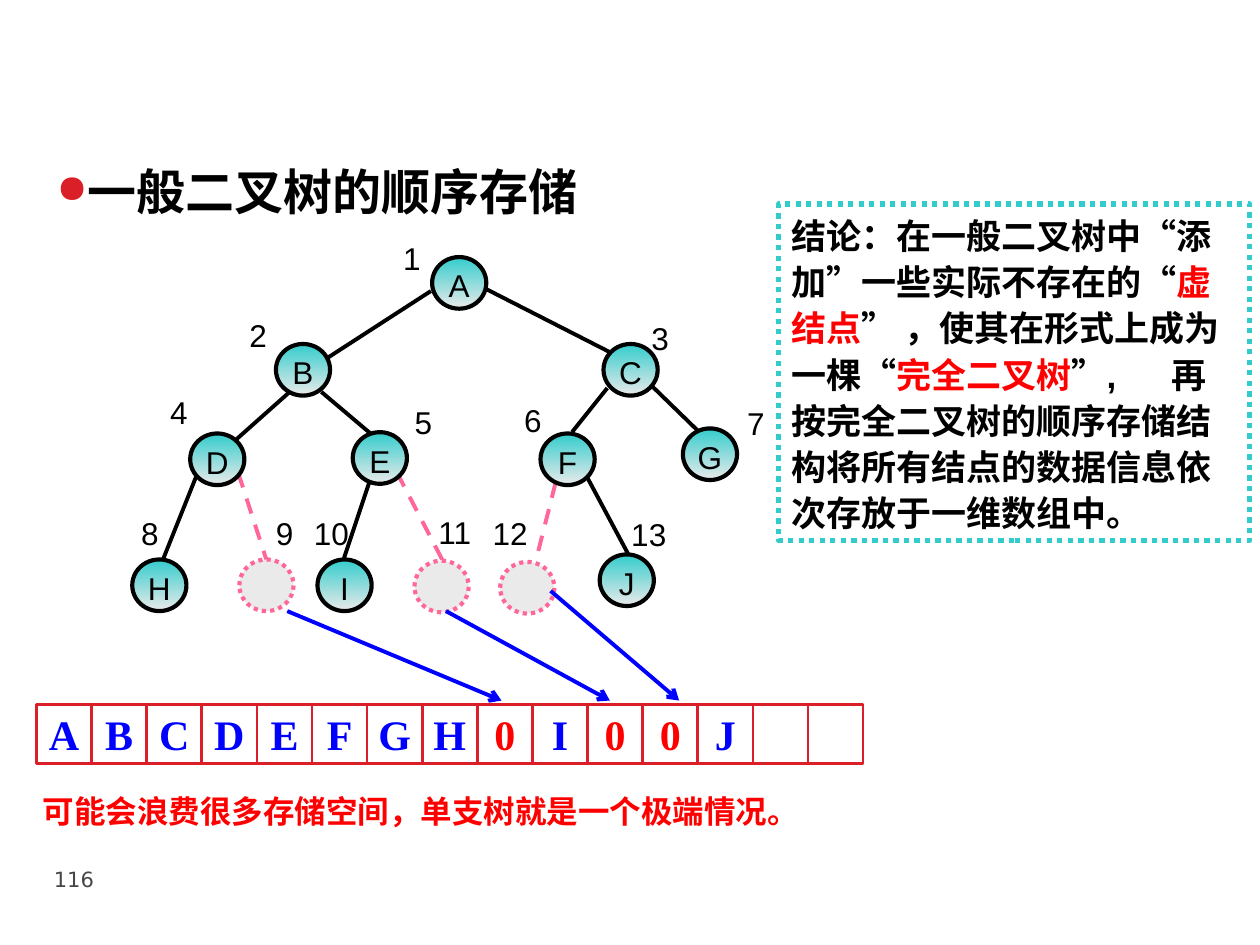
from lxml import etree
from pptx import Presentation
from pptx.dml.color import RGBColor
from pptx.enum import dml, shapes, text
from pptx.oxml import ns
from pptx.util import Inches, Pt

BLACK, RED, BLUE = "000000", "FF0000", "0000FF"
TEAL, PINK, GREY, CRIMSON = "33CCCC", "FF6699", "EAEAEA", "DA1F28"
DOTS = dml.MSO_LINE.ROUND_DOT
NODE_WIDTH, NODE_HEIGHT = 0.43, 0.41

NODES = {
    "A": (3.43, 2.04), "B": (2.19, 2.73), "C": (4.79, 2.73), "D": (1.51, 3.44),
    "E": (2.8, 3.43), "F": (4.29, 3.44), "G": (5.42, 3.4), "H": (1.05, 4.44),
    "I": (2.52, 4.44), "J": (4.76, 4.4),
}
VIRTUAL_NODES = [(1.9, 4.44), (3.29, 4.45), (3.97, 4.46)]
NUMBERS = [
    (3.2, 1.9), (1.98, 2.51), (5.17, 2.53), (1.35, 3.12), (3.29, 3.2),
    (4.16, 3.18), (5.93, 3.21), (1.12, 4.08), (2.19, 4.08), (2.49, 4.08),
    (3.48, 4.07), (3.91, 4.08), (5.01, 4.09),
]
EDGES = [
    (3.42, 2.31, 2.6, 2.84), (3.85, 2.29, 4.85, 2.8), (2.3, 3.11, 1.85, 3.51),
    (2.55, 3.11, 2.94, 3.44), (4.82, 3.08, 4.54, 3.43), (5.16, 3.05, 5.54, 3.42),
    (1.57, 3.75, 1.29, 4.45), (2.93, 3.83, 2.73, 4.43), (4.64, 3.75, 5.03, 4.48),
]
VIRTUAL_EDGES = [
    (1.89, 3.75, 2.12, 4.46), (3.15, 3.75, 3.53, 4.48), (4.41, 3.83, 4.25, 4.46),
]
ARROWS = [
    (2.28, 4.85, 3.98, 5.56), (3.54, 4.85, 4.84, 5.56), (4.37, 4.69, 5.39, 5.56),
]
ARRAY = "ABCDEFGH0I00J"
CELL_COUNT, ROW_LEFT, ROW_WIDTH = 15, 0.29, 6.56
CONCLUSION = [
    ("结论：在一般二叉树中“添加”一些实际不存在的“", BLACK),
    ("虚结点", RED),
    ("” ，使其在形式上成为一棵“", BLACK),
    ("完全二叉树", RED),
    ("”,\t再按完全二叉树的顺序存储结构将所有结点的数据信息依次存放于一维数组中。", BLACK),
]


def colour(value):
    return RGBColor.from_string(value)


def place(box, left, top, width, height):
    box.left, box.top = Inches(left), Inches(top)
    box.width, box.height = Inches(width), Inches(height)


def set_insets(frame, side, top):
    frame.margin_left = frame.margin_right = Inches(side)
    frame.margin_top = frame.margin_bottom = Inches(top)


def write(para, spans, size, font="Arial", bold=False):
    """Fill a paragraph with (wording, colour) spans that share one style."""
    for wording, shade in spans:
        span = para.add_run()
        span.text = wording
        span.font.size, span.font.name, span.font.bold = Pt(size), font, bold
        span.font.color.rgb = colour(shade)


def add_text(page, bounds, wording, size, shade, font="Arial", bold=False):
    box = page.shapes.add_textbox(*map(Inches, bounds))
    box.text_frame.word_wrap = True
    write(box.text_frame.paragraphs[0], [(wording, shade)], size, font, bold)
    return box


def add_outline(page, kind, bounds, shade, width, dash=None):
    """Add a preset shape without fill, its text frame ready for centred text."""
    shape = page.shapes.add_shape(kind, *map(Inches, bounds))
    shape.shadow.inherit = False
    shape.fill.background()
    shape.line.color.rgb = colour(shade)
    shape.line.width = Pt(width)
    if dash:
        shape.line.dash_style = dash
    set_insets(shape.text_frame, 0, 0)
    shape.text_frame.word_wrap = False
    return shape


def add_ellipse(page, corner, shade, dash=None):
    bounds = (*corner, NODE_WIDTH, NODE_HEIGHT)
    return add_outline(page, shapes.MSO_SHAPE.OVAL, bounds, shade, 2.38, dash)


def add_node(page, letter, corner):
    node = add_ellipse(page, corner, BLACK)
    node.fill.gradient()
    node.fill.gradient_angle = 270
    for stop, shade in zip(node.fill.gradient_stops, (TEAL, GREY)):
        stop.color.rgb = colour(shade)
    node.text_frame.margin_top = Inches(0.04)
    write(node.text_frame.paragraphs[0], [(letter, BLACK)], 18)


def add_virtual_node(page, corner):
    node = add_ellipse(page, corner, PINK, DOTS)
    node.fill.solid()
    node.fill.fore_color.rgb = colour(GREY)


def add_line(page, ends, shade, dash=None, arrow=False):
    line = page.shapes.add_connector(shapes.MSO_CONNECTOR.STRAIGHT, *map(Inches, ends))
    line.line.color.rgb = colour(shade)
    line.line.width = Pt(2.25)
    if dash:
        line.line.dash_style = dash
    if arrow:
        etree.SubElement(line.line._get_or_add_ln(), ns.qn("a:tailEnd"), type="arrow")
    etree.SubElement(line._element.spPr, ns.qn("a:effectLst"))


def add_heading(page):
    title = page.shapes.title
    place(title, 0.35, 1.23, 6.54, 0.57)
    frame = title.text_frame
    frame.auto_size = text.MSO_AUTO_SIZE.NONE
    frame.vertical_anchor = text.MSO_ANCHOR.TOP
    para = frame.paragraphs[0]
    para.alignment = text.PP_ALIGN.LEFT
    properties = para._p.get_or_add_pPr()
    properties.set("marL", str(Inches(0.24)))
    properties.set("indent", str(-Inches(0.24)))
    bullet_colour = etree.SubElement(properties, ns.qn("a:buClr"))
    etree.SubElement(bullet_colour, ns.qn("a:srgbClr"), val=CRIMSON)
    etree.SubElement(properties, ns.qn("a:buSzPct"), val="80000")
    etree.SubElement(properties, ns.qn("a:buChar"), char="●")
    write(para, [("一般二叉树的顺序存储", BLACK)], 28, "Times New Roman", True)


def add_tree(page):
    for ends in EDGES:
        add_line(page, ends, BLACK)
    for ends in VIRTUAL_EDGES:
        add_line(page, ends, PINK, dml.MSO_LINE.DASH)
    for letter, corner in NODES.items():
        add_node(page, letter, corner)
    for corner in VIRTUAL_NODES:
        add_virtual_node(page, corner)
    for number, corner in enumerate(NUMBERS, 1):
        label = str(number)
        box = add_text(page, (*corner, 0.14 * len(label), 0.3), label, 18, BLACK)
        box.text_frame.word_wrap = False
        set_insets(box.text_frame, 0, 0)


def add_array(page):
    pitch = ROW_WIDTH / CELL_COUNT
    for index, value in enumerate(ARRAY.ljust(CELL_COUNT)):
        bounds = (ROW_LEFT + index * pitch, 5.59, pitch, 0.47)
        cell = add_outline(page, shapes.MSO_SHAPE.RECTANGLE, bounds, CRIMSON, 1.5)
        if value != " ":
            shade = RED if value == "0" else BLUE
            write(cell.text_frame.paragraphs[0], [(value, shade)], 24, "Times New Roman", True)
    for ends in ARROWS:
        add_line(page, ends, BLUE, arrow=True)


def add_conclusion(page):
    bounds = (6.18, 1.62, 3.74, 2.67)
    box = add_outline(page, shapes.MSO_SHAPE.RECTANGLE, bounds, TEAL, 3, DOTS)
    frame = box.text_frame
    frame.word_wrap = True
    frame.vertical_anchor = text.MSO_ANCHOR.TOP
    set_insets(frame, 0.1, 0.05)
    para = frame.paragraphs[0]
    para.alignment = text.PP_ALIGN.LEFT
    para.line_spacing = 1.1
    tabs = etree.SubElement(para._p.get_or_add_pPr(), ns.qn("a:tabLst"))
    etree.SubElement(tabs, ns.qn("a:tab"), pos=str(Inches(3.02)), algn="l")
    write(para, CONCLUSION, 20, bold=True)


def main():
    deck = Presentation()
    deck.slide_width, deck.slide_height = Inches(10), Inches(7.5)
    page = deck.slides.add_slide(deck.slide_layouts[5])
    add_heading(page)
    add_tree(page)
    add_array(page)
    add_conclusion(page)
    add_text(page, (0.24, 6.24, 8.86, 0.4),
             "可能会浪费很多存储空间，单支树就是一个极端情况。", 18, RED, bold=True)
    add_text(page, (0.33, 6.83, 2.5, 0.52), "116", 12, "464646", "DejaVu Sans")
    deck.save("out.pptx")


if __name__ == "__main__":
    main()
